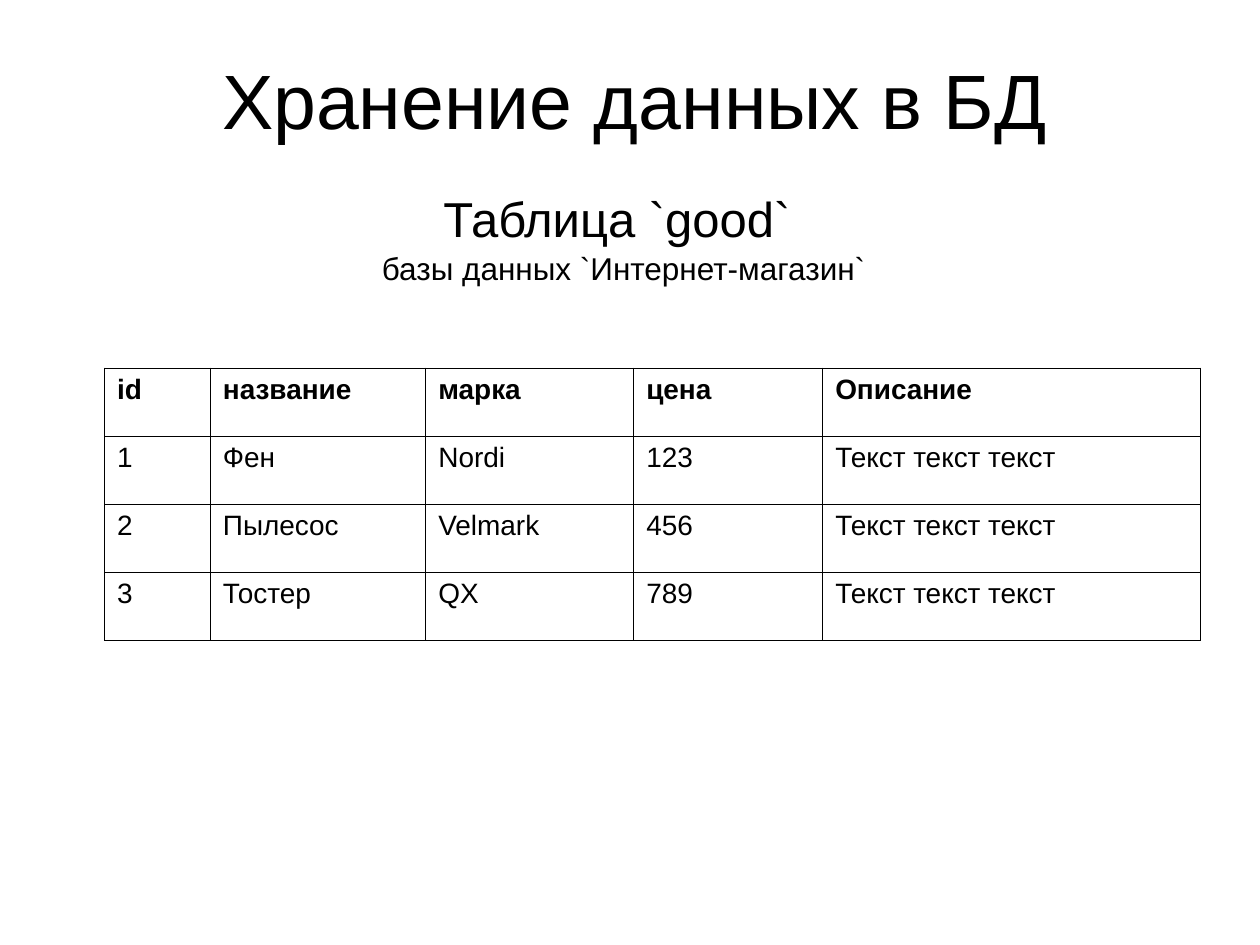
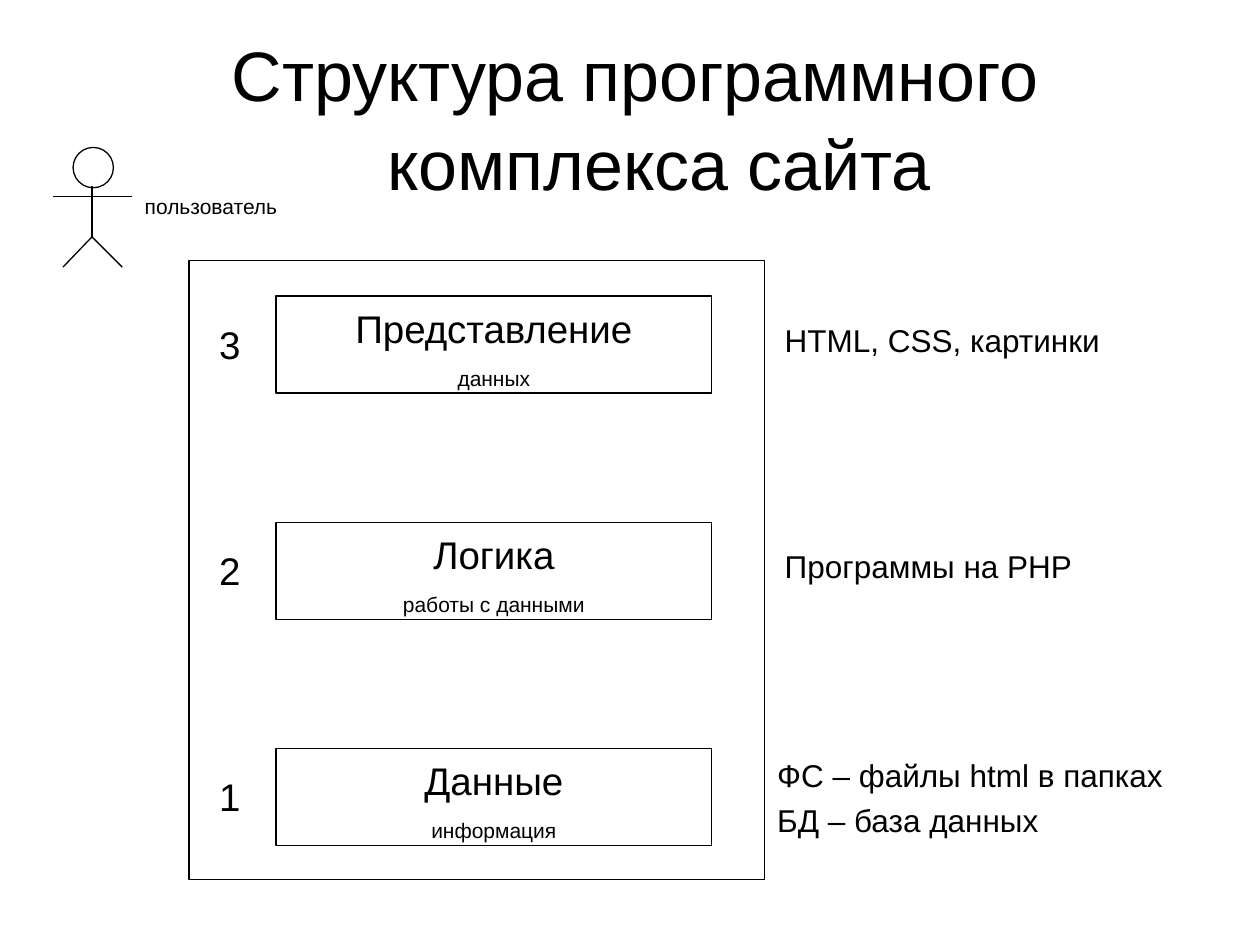
from dataclasses import dataclass

import pptx
import pptx.dml.color
import pptx.enum.shapes
import pptx.enum.text
import pptx.oxml
import pptx.oxml.ns
import pptx.util
from pptx.util import Inches

COLORS = {"ink": "000000"}
FONT = "Arial"
LINE_WIDTH = 0.75
BORDER_WIDTH = 0.45
TEXT_SPACING = 1.05
TITLE_ONLY = 5

ALIGN = pptx.enum.text.PP_ALIGN
SHAPE = pptx.enum.shapes.MSO_SHAPE
INK = pptx.dml.color.RGBColor.from_string(COLORS["ink"])


@dataclass
class Line:
    """One paragraph of text."""
    text: str
    size: float
    before: float = 0


@dataclass
class Area:
    """Position and size in inches."""
    left: float
    top: float
    width: float
    height: float

    def lengths(self) -> tuple:
        return tuple(Inches(value) for value in (self.left, self.top, self.width, self.height))


@dataclass
class Caption:
    """Note to the right of a level, placed relative to the level's top."""
    text: str
    left: float
    drop: float
    width: float


@dataclass
class Level:
    """One layer of the site structure."""
    name: str
    detail: str
    captions: list


# Content
GOODS = [
    ["id", "название", "марка", "цена", "Описание"],
    ["1", "Фен", "Nordi", "123", "Текст текст текст"],
    ["2", "Пылесос", "Velmark", "456", "Текст текст текст"],
    ["3", "Тостер", "QX", "789", "Текст текст текст"],
]
GOODS_COLUMNS = [0.84, 1.71, 1.65, 1.5, 3]
GOODS_ROW = 0.54

LEVELS = [
    Level("Представление", "данных", [Caption("HTML, CSS, картинки", 6.13, 0.13, 2.84)]),
    Level("Логика", "работы с данными", [Caption("Программы на PHP", 6.13, 0.13, 2.84)]),
    Level("Данные", "информация", [
        Caption("ФС – файлы html в папках", 6.07, 0, 3.52),
        Caption("БД – база данных", 6.07, 0.35, 2.84),
    ]),
]
FIRST_LEVEL_TOP, LAST_LEVEL_TOP = 2.35, 5.94

TORSO_X, HIP_Y, FOOT_Y, ARM_Y = 0.73, 1.88, 2.12, 1.56
LIMBS = [
    (TORSO_X, 1.48, TORSO_X, HIP_Y),
    (TORSO_X, HIP_Y, 0.5, FOOT_Y),
    (TORSO_X, HIP_Y, 0.97, FOOT_Y),
    (0.42, ARM_Y, 1.05, ARM_Y),
]


# Shared drawing functions
def style_font(paragraph, size: float, bold: bool = False) -> None:
    font = paragraph.font
    font.name, font.size, font.bold = FONT, pptx.util.Pt(size), bold
    font.color.rgb = INK


def write_lines(shape, lines: list, align=ALIGN.LEFT, wrap: bool = True) -> None:
    frame = shape.text_frame
    frame.word_wrap = wrap
    frame.auto_size = pptx.enum.text.MSO_AUTO_SIZE.SHAPE_TO_FIT_TEXT
    frame.vertical_anchor = pptx.enum.text.MSO_ANCHOR.TOP
    for index, line in enumerate(lines):
        para = frame.add_paragraph() if index else frame.paragraphs[0]
        para.text = line.text
        para.alignment = align
        para.line_spacing = TEXT_SPACING
        para.space_before = pptx.util.Pt(line.before)
        style_font(para, line.size)


def add_text(shapes, area: Area, lines: list, align=ALIGN.LEFT, wrap: bool = True) -> None:
    write_lines(shapes.add_textbox(*area.lengths()), lines, align, wrap)


def add_outline(shapes, kind, area: Area):
    shape = shapes.add_shape(kind, *area.lengths())
    shape.shadow.inherit = False
    shape.fill.background()
    shape.line.color.rgb = INK
    shape.line.width = pptx.util.Pt(LINE_WIDTH)
    return shape


def add_line(shapes, ends: tuple) -> None:
    straight = pptx.enum.shapes.MSO_CONNECTOR.STRAIGHT
    line = shapes.add_connector(straight, *(Inches(value) for value in ends))
    line.line.color.rgb = INK
    line.line.width = pptx.util.Pt(LINE_WIDTH)
    properties = line._element.spPr
    properties.append(properties.makeelement(pptx.oxml.ns.qn("a:effectLst"), {}))


def add_page(deck, title: str, size: float, top: float, height: float):
    page = deck.slides.add_slide(deck.slide_layouts[TITLE_ONLY])
    box = page.shapes.title
    box.left, box.top, box.width, box.height = Area(0.33, top, 9.42, height).lengths()
    write_lines(box, [Line(title, size)], ALIGN.CENTER)
    # Hanging indent of the title
    properties = box.text_frame.paragraphs[0]._p.get_or_add_pPr()
    properties.set("marL", str(Inches(0.38)))
    properties.set("indent", str(-Inches(0.38)))
    return page


def add_borders(cell) -> None:
    namespace = pptx.oxml.ns.nsdecls("a")
    properties = cell._tc.get_or_add_tcPr()
    for index, side in enumerate("LRTB"):
        border = pptx.oxml.parse_xml(
            f'<a:ln{side} {namespace} w="{pptx.util.Pt(BORDER_WIDTH)}"><a:solidFill>'
            f'<a:srgbClr val="{COLORS["ink"]}"/></a:solidFill></a:ln{side}>')
        properties.insert(index, border)


# Slide 1: data kept in a table
def build_storage(deck) -> None:
    page = add_page(deck, "Хранение данных в БД", 44, 0.33, 0.84)
    add_text(page.shapes, Area(2.92, 1.42, 4.06, 0.87),
             [Line("Таблица `good` ", 28), Line("базы данных `Интернет-магазин`", 18)],
             ALIGN.CENTER, wrap=False)

    area = Area(0.83, 2.92, sum(GOODS_COLUMNS), GOODS_ROW * len(GOODS))
    table = page.shapes.add_table(len(GOODS), len(GOODS_COLUMNS), *area.lengths()).table
    table.first_row = table.horz_banding = False
    for column, width in zip(table.columns, GOODS_COLUMNS):
        column.width = Inches(width)
    for row_index, values in enumerate(GOODS):
        table.rows[row_index].height = Inches(GOODS_ROW)
        for column_index, value in enumerate(values):
            cell = table.cell(row_index, column_index)
            cell.text = value
            cell.fill.background()
            style_font(cell.text_frame.paragraphs[0], 16, bold=row_index == 0)
            add_borders(cell)


# Slide 2: layers of the site and its user
def add_level(shapes, level: Level, number: int, top: float) -> None:
    box = add_outline(shapes, SHAPE.RECTANGLE, Area(2.19, top, 3.46, 0.77))
    write_lines(box, [Line(level.name, 22), Line(level.detail, 12, 7.5)], ALIGN.CENTER)
    add_text(shapes, Area(1.64, top + 0.13, 0.37, 0.47), [Line(str(number), 22)], wrap=False)
    for caption in level.captions:
        area = Area(caption.left, top + caption.drop, caption.width, 0.4)
        add_text(shapes, area, [Line(caption.text, 18)])


def add_user(shapes) -> None:
    person = shapes.add_group_shape().shapes
    add_outline(person, SHAPE.OVAL, Area(0.58, 1.17, 0.32, 0.32))
    for limb in LIMBS:
        add_line(person, limb)
    add_text(person, Area(1.05, 1.48, 1.28, 0.3), [Line("пользователь", 12)])


def build_structure(deck) -> None:
    page = add_page(deck, "Структура программного комплекса сайта", 40, 0.17, 1.44)
    pitch = (LAST_LEVEL_TOP - FIRST_LEVEL_TOP) / (len(LEVELS) - 1)
    for index, level in enumerate(LEVELS):
        add_level(page.shapes, level, len(LEVELS) - index, FIRST_LEVEL_TOP + index * pitch)
    add_outline(page.shapes, SHAPE.RECTANGLE, Area(1.5, 2.07, 4.57, 4.91))
    add_user(page.shapes)


def main() -> None:
    deck = pptx.Presentation()
    deck.slide_width, deck.slide_height = Inches(10), Inches(7.5)
    build_storage(deck)
    build_structure(deck)
    deck.save("out.pptx")


if __name__ == "__main__":
    main()
